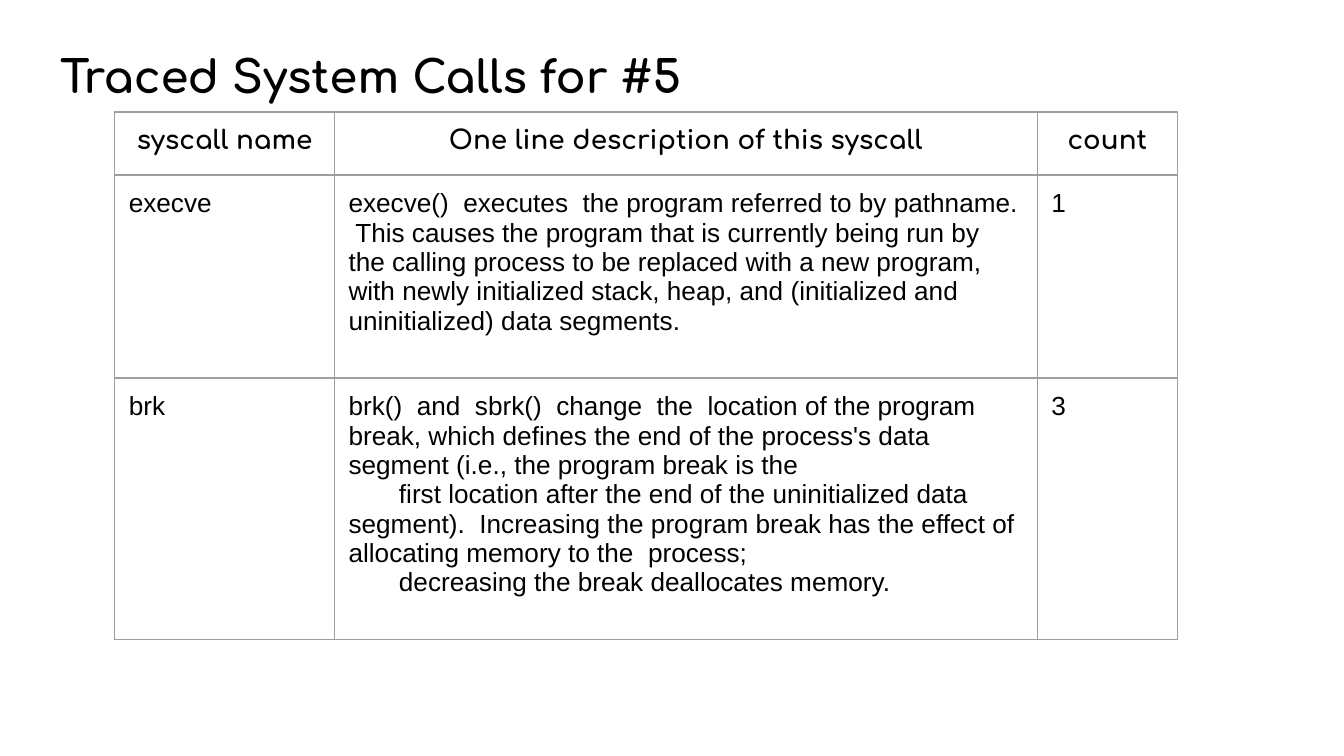
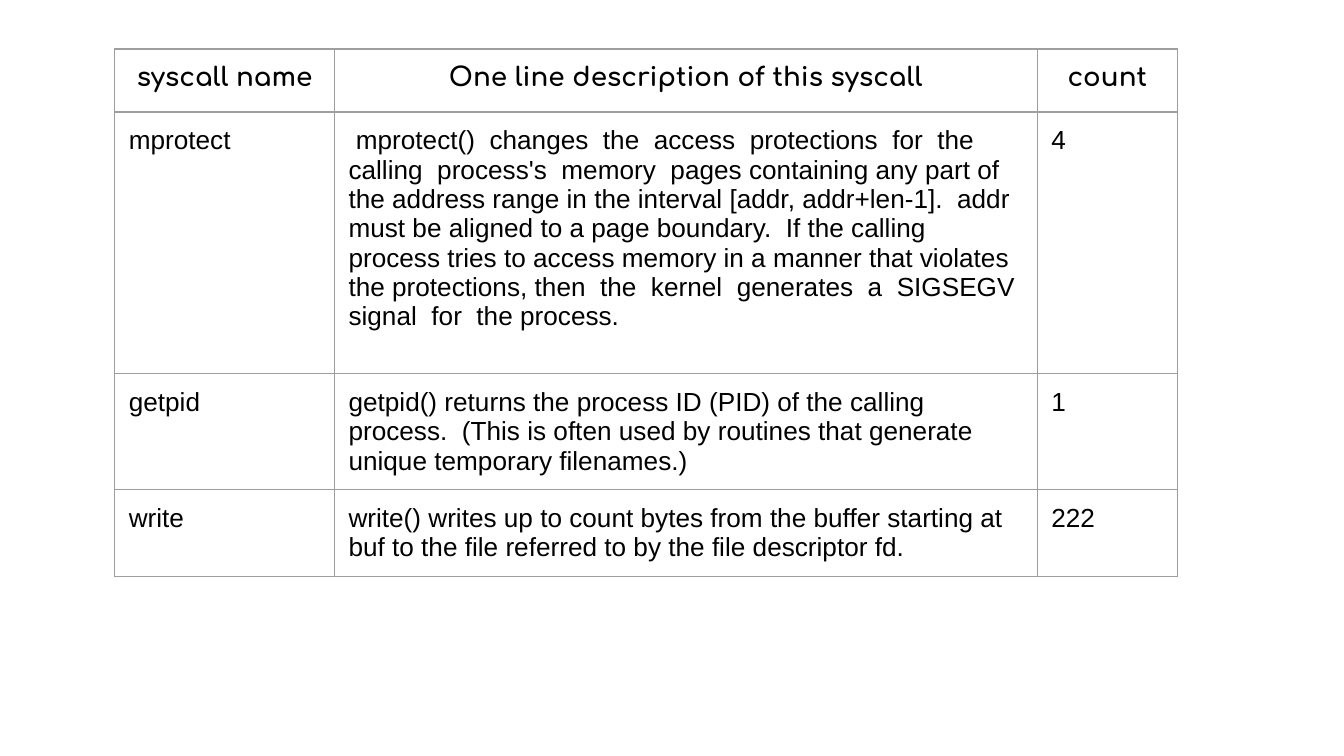
"""Build two slides that list traced system calls in tables."""
from dataclasses import dataclass

import pptx
import pptx.dml.color
import pptx.enum.text
import pptx.oxml.ns
import pptx.presentation
import pptx.slide
import pptx.table
import pptx.text.text
import pptx.util
from lxml import etree

PX = 9525
BLACK = "000000"
GREY = "9E9E9E"
HEAD_FONT = "Comfortaa"
BODY_FONT = "Arial"
PAD = 10
LEFT = 82
TOP = 80
HEAD_H = 45
COLS = (157, 502, 100)
INDENT = 36
HEADS = ("syscall name", "One line description of this syscall", "count")
ALIGN = pptx.enum.text.PP_ALIGN


@dataclass(frozen=True)
class Style:
    font: str
    size: int
    bold: bool
    align: ALIGN


@dataclass(frozen=True)
class Row:
    cells: tuple[str, ...]
    high: int
    style: Style


TITLE = Style(HEAD_FONT, 24, True, ALIGN.LEFT)
HEAD = Style(HEAD_FONT, 14, True, ALIGN.CENTER)
BODY = Style(BODY_FONT, 14, False, ALIGN.LEFT)
HEAD_ROW = Row(HEADS, HEAD_H, HEAD)

FIRST = [
    Row((
        "execve",
        "execve()  executes  the program referred to by pathname.  This causes "
        "the program that is currently being run by the calling process to be "
        "replaced with a new program, with newly initialized stack, heap, and "
        "(initialized and uninitialized) data segments.",
        "1",
    ), 145, BODY),
    Row((
        "brk",
        "brk()  and  sbrk()  change  the  location of the program break, which "
        "defines the end of the process's data segment (i.e., the program break "
        "is the\n"
        "first location after the end of the uninitialized data segment).  "
        "Increasing the program break has the effect of allocating memory to "
        "the  process;\n"
        "decreasing the break deallocates memory.",
        "3",
    ), 187, BODY),
]
SECOND = [
    Row((
        "mprotect",
        " mprotect()  changes  the  access  protections  for  the  calling  "
        "process's  memory  pages containing any part of the address range in "
        "the interval [addr, addr+len-1].  addr must be aligned to a page "
        "boundary.  If the calling process tries to access memory in a manner "
        "that violates the protections, then  the  kernel  generates  a  "
        "SIGSEGV  signal  for  the process.",
        "4",
    ), 187, BODY),
    Row((
        "getpid",
        "getpid() returns the process ID (PID) of the calling process.  (This "
        "is often used by routines that generate unique temporary filenames.)",
        "1",
    ), 82, BODY),
    Row((
        "write",
        "write() writes up to count bytes from the buffer starting at buf to "
        "the file referred to by the file descriptor fd.",
        "222",
    ), 61, BODY),
]


def px(size: int) -> pptx.util.Emu:
    return pptx.util.Emu(size * PX)


def color(code: str) -> pptx.dml.color.RGBColor:
    return pptx.dml.color.RGBColor.from_string(code)


def write(frame: pptx.text.text.TextFrame, text: str, style: Style) -> None:
    for at, line in enumerate(text.split("\n")):
        para = frame.add_paragraph() if at else frame.paragraphs[0]
        para.alignment = style.align
        if at:
            para._p.get_or_add_pPr().set("indent", str(px(INDENT)))
        run = para.add_run()
        run.text = line
        run.font.name = style.font
        run.font.size = pptx.util.Pt(style.size)
        run.font.bold = style.bold
        run.font.color.rgb = color(BLACK)


def pad(box: pptx.table._Cell | pptx.text.text.TextFrame) -> None:
    box.margin_left = box.margin_right = px(PAD)
    box.margin_top = box.margin_bottom = px(PAD)


def border(cell: pptx.table._Cell) -> None:
    qn = pptx.oxml.ns.qn
    props = cell._tc.get_or_add_tcPr()
    for side in ("lnL", "lnR", "lnT", "lnB"):
        line = etree.SubElement(props, qn(f"a:{side}"), w=str(pptx.util.Pt(0.75)))
        fill = etree.SubElement(line, qn("a:solidFill"))
        etree.SubElement(fill, qn("a:srgbClr"), val=GREY)


def add_grid(slide: pptx.slide.Slide, top: int, rows: list[Row]) -> None:
    high = sum(row.high for row in rows)
    table = slide.shapes.add_table(
        len(rows), len(COLS), px(LEFT), px(top), px(sum(COLS)), px(high)
    ).table
    table.first_row = table.horz_banding = False
    for col, wide in zip(table.columns, COLS):
        col.width = px(wide)
    for line, row in zip(table.rows, rows):
        line.height = px(row.high)
        for cell, text in zip(line.cells, row.cells):
            pad(cell)
            border(cell)
            cell.fill.background()
            write(cell.text_frame, text, row.style)


def add_title(slide: pptx.slide.Slide, text: str) -> None:
    title = slide.shapes.title
    title.left, title.top, title.width, title.height = map(px, (33, 19, 895, 509))
    frame = title.text_frame
    frame.word_wrap = True
    frame.auto_size = pptx.enum.text.MSO_AUTO_SIZE.NONE
    frame.vertical_anchor = pptx.enum.text.MSO_ANCHOR.TOP
    pad(frame)
    write(frame, text, TITLE)
    frame.paragraphs[0].line_spacing = 1.15


def add_first(deck: pptx.presentation.Presentation) -> None:
    slide = deck.slides.add_slide(deck.slide_layouts.get_by_name("Title Only"))
    add_title(slide, "Traced System Calls for #5")
    add_grid(slide, TOP, [HEAD_ROW, *FIRST])


def add_second(deck: pptx.presentation.Presentation) -> None:
    slide = deck.slides.add_slide(deck.slide_layouts.get_by_name("Blank"))
    add_grid(slide, TOP, SECOND)
    add_grid(slide, TOP - HEAD_H, [HEAD_ROW])


def main() -> None:
    deck = pptx.Presentation()
    deck.slide_width, deck.slide_height = px(960), px(540)
    add_first(deck)
    add_second(deck)
    deck.save("out.pptx")


if __name__ == "__main__":
    main()
